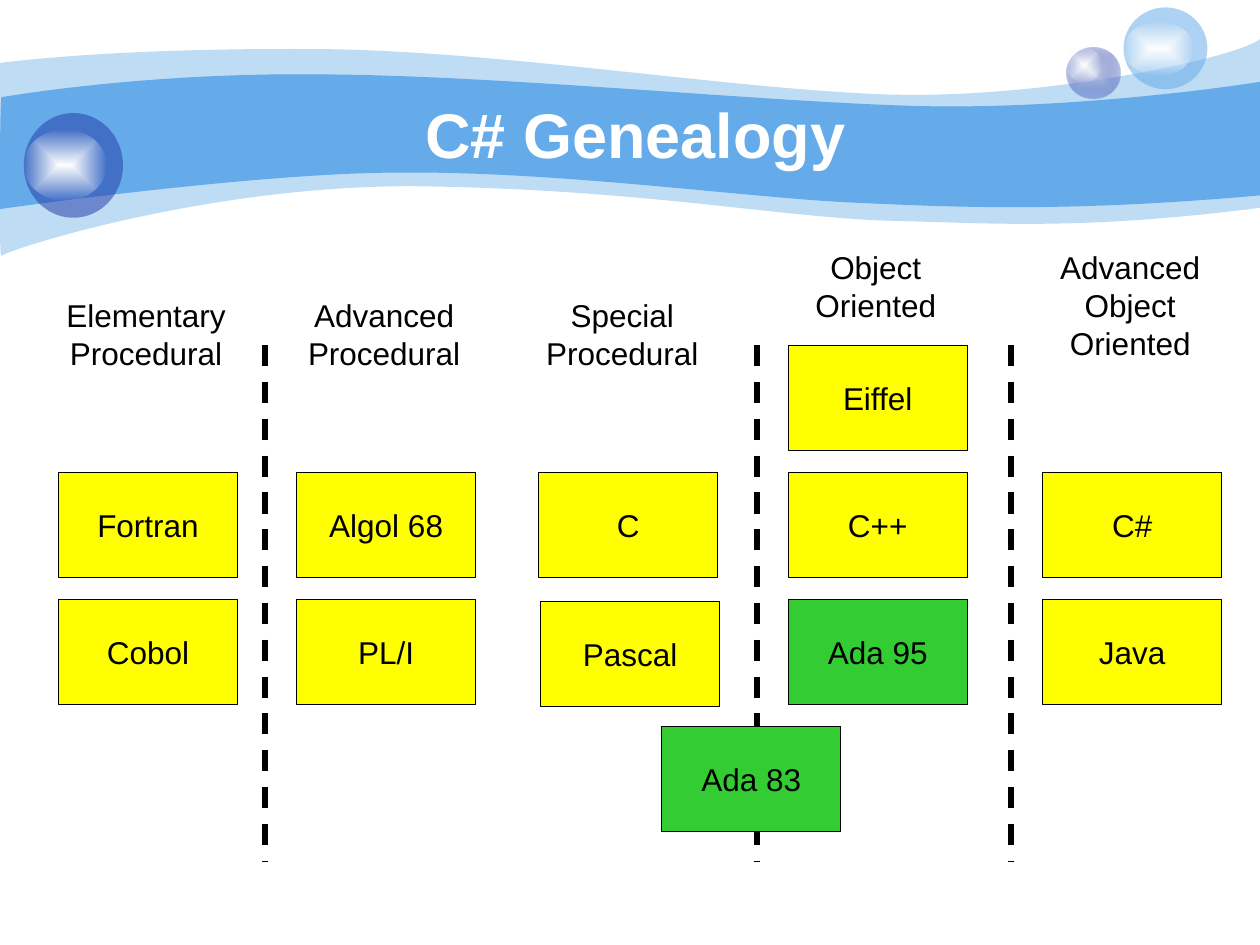
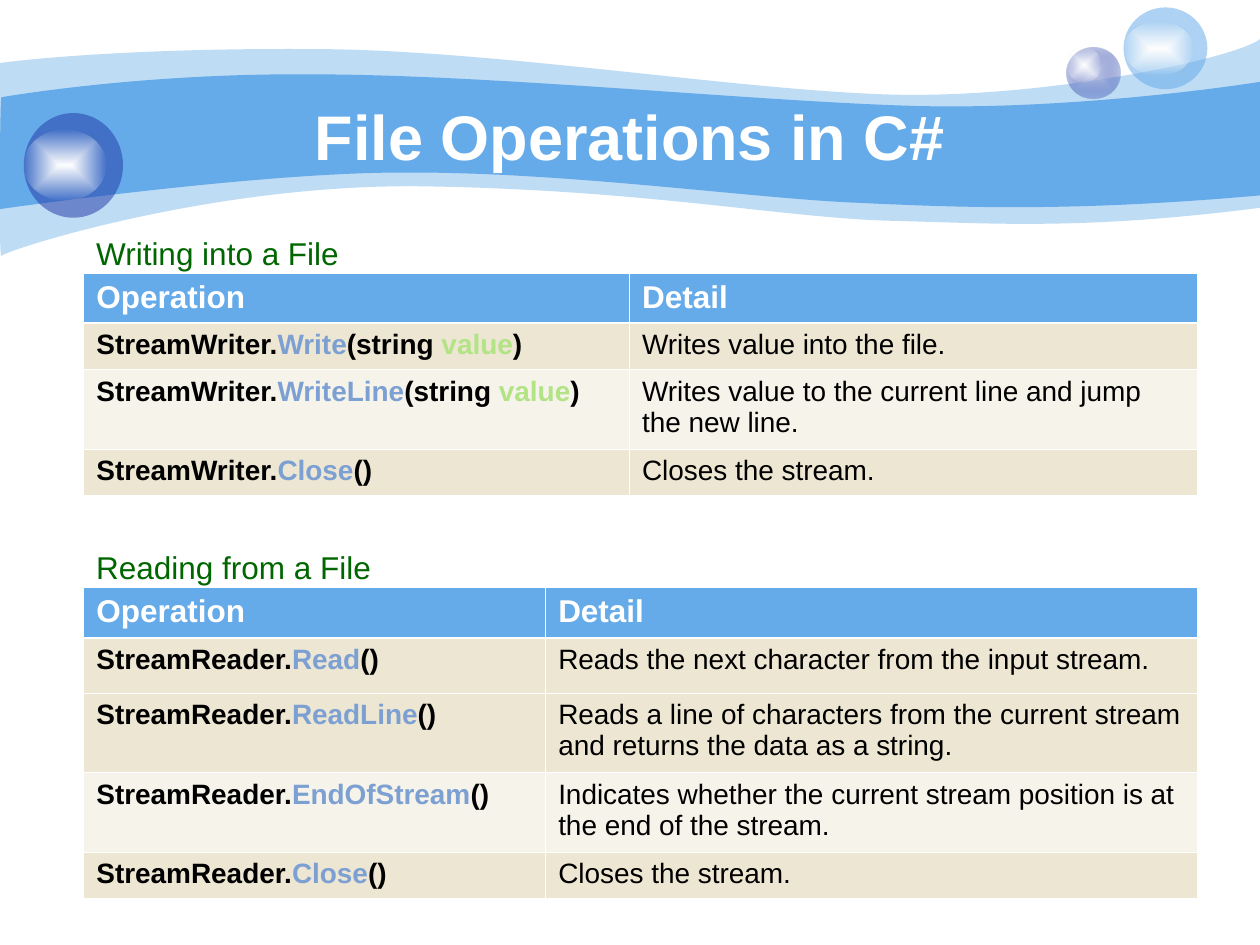
"""Build two C# lecture slides: the language genealogy and the file operations."""
from dataclasses import dataclass

from pptx import Presentation
from pptx.dml.color import RGBColor
from pptx.enum.dml import MSO_LINE
from pptx.enum.shapes import MSO_CONNECTOR, MSO_SHAPE
from pptx.enum.text import MSO_ANCHOR, MSO_AUTO_SIZE, PP_ALIGN
from pptx.oxml import parse_xml
from pptx.oxml.ns import nsdecls, qn
from pptx.oxml.xmlchemy import OxmlElement
from pptx.util import Cm, Pt

LEFT, CENTER = PP_ALIGN.LEFT, PP_ALIGN.CENTER
TOP, MIDDLE = MSO_ANCHOR.TOP, MSO_ANCHOR.MIDDLE
GROW = MSO_AUTO_SIZE.SHAPE_TO_FIT_TEXT
RECTANGLE, OVAL = MSO_SHAPE.RECTANGLE, MSO_SHAPE.OVAL
STRAIGHT, DASH = MSO_CONNECTOR.STRAIGHT, MSO_LINE.DASH


@dataclass(frozen=True)
class Theme:
    font: str = "Arial"
    title_size: int = 36
    text_size: int = 18
    cell_size: int = 16
    white: str = "FFFFFF"
    black: str = "000000"
    sky: str = "65AAE9"
    navy: str = "233DA9"
    mist: str = "C7CEE9"
    yellow: str = "FFFF00"
    green: str = "33CC33"
    caption: str = "006600"
    method: str = "7DA0D3"
    parameter: str = "B2E385"
    sand: str = "EDE6D3"
    cream: str = "F6F3EA"


theme = Theme()


def write_text(frame, text, size=theme.text_size, color=theme.black, bold=False,
               align=LEFT, anchor=TOP, wrap=True):
    """Write a string, or a list of (string, colour) parts, as one paragraph."""
    frame.word_wrap = wrap
    frame.vertical_anchor = anchor
    paragraph = frame.paragraphs[0]
    paragraph.alignment = align
    parts = [(text, color)] if isinstance(text, str) else text
    for part, part_color in parts:
        for number, line in enumerate(part.split("\n")):
            if number:
                paragraph.add_line_break()
            run = paragraph.add_run()
            run.text = line
            run.font.name = theme.font
            run.font.size = Pt(size)
            run.font.bold = bold
            run.font.color.rgb = RGBColor.from_string(part_color)


def paint(shape, *stops):
    """Fill with one (colour, opacity) stop, or shade from the centre through several."""
    shape.shadow.inherit = False
    shape.line.fill.background()
    shape.fill.solid()
    solid = shape.element.spPr.find(qn("a:solidFill"))
    colors = [f'<a:srgbClr val="{color}"><a:alpha val="{opacity * 1000}"/></a:srgbClr>'
              for color, opacity in stops]
    if len(colors) == 1:
        fill = f'<a:solidFill {nsdecls("a")}>{colors[0]}</a:solidFill>'
    else:
        shades = "".join(f'<a:gs pos="{position}">{color}</a:gs>'
                         for position, color in zip((0, 100000), colors))
        fill = (f'<a:gradFill {nsdecls("a")} rotWithShape="1"><a:gsLst>{shades}</a:gsLst>'
                '<a:path path="rect"><a:fillToRect l="50000" t="50000" r="50000" b="50000"/>'
                '</a:path></a:gradFill>')
    shape.element.spPr.replace(solid, parse_xml(fill))


prs = Presentation()
prs.slide_width, prs.slide_height = Cm(25.4), Cm(19.05)
layout = prs.slide_layouts[5]

titles = [
    ("C# Genealogy", 2.55, 1.9, 20.52, 1.58),
    ("File Operations in C#", 1.27, 1.14, 22.86, 3.18),
]
for title, left, top, width, height in titles:
    heading = prs.slides.add_slide(layout).shapes.title
    heading.left, heading.top = Cm(left), Cm(top)
    heading.width, heading.height = Cm(width), Cm(height)
    write_text(heading.text_frame, title, size=theme.title_size, color=theme.white,
               bold=True, align=CENTER, anchor=MIDDLE)
genealogy, operations = (slide.shapes for slide in prs.slides)

waves = [
    (41, (0, 1.27), [
        [(0.61, 1.19), (2.72, 0.97), (6.27, 0.99)],
        [(9.8, 0.99), (14.6, 1.78), (17.75, 1.9)],
        [(20.88, 2.03), (24.89, 1.19), (25.4, 0.79)],
        [(25.4, 4.19)],
        [(21.79, 4.65), (19.99, 4.5), (17.91, 4.45)],
        [(15.8, 4.39), (13.08, 3.84), (8.71, 3.76)],
        [(4.37, 3.66), (0.1, 5.05), (0.03, 5.16)],
        [(-0.03, 5.28), (0, 1.9), (0, 1.27)],
    ]),
    (100, (0.03, 1.96), [
        [(0.05, 1.96), (2.79, 1.47), (6.3, 1.5)],
        [(9.8, 1.5), (15.11, 2.03), (18.24, 2.13)],
        [(21.36, 2.24), (24.79, 1.75), (25.4, 1.65)],
        [(25.4, 3.94)],
        [(21.67, 4.27), (19.43, 4.19), (17.32, 4.09)],
        [(15.21, 4.01), (11.35, 3.45), (8.05, 3.48)],
        [(5.16, 3.48), (-0.05, 4.22), (-0.03, 4.22)],
        [(0, 4.22), (0, 1.96), (0.03, 1.96)],
    ]),
]
backdrop = []
for opacity, (start_x, start_y), segments in waves:
    outline = genealogy.build_freeform(Cm(start_x), Cm(start_y))
    outline.add_line_segments([(Cm(x), Cm(y)) for segment in segments for x, y in segment])
    wave = outline.convert_to_shape()
    vertices = iter(wave.element.xpath(".//a:lnTo"))
    for segment in segments:
        first, *others = [next(vertices) for point in segment]
        if others:
            curve = OxmlElement("a:cubicBezTo")
            first.addprevious(curve)
            for vertex in (first, *others):
                curve.append(vertex[0])
                vertex.getparent().remove(vertex)
    paint(wave, (theme.sky, opacity))
    backdrop.append(wave)

shine = [(theme.white, 100), (theme.white, 0)]
orbs = [
    (21.5, 0.95, 1.09, 1.04, [(theme.mist, 100), (theme.navy, 31)]),
    (21.5, 0.97, 0.71, 0.69, shine),
    (22.65, 0.15, 1.69, 1.65, [(theme.sky, 53)]),
    (22.65, 0.43, 1.41, 1.09, shine),
    (0.48, 2.28, 2, 2.11, [(theme.navy, 53)]),
    (0.48, 2.62, 1.67, 1.42, shine),
]
for left, top, width, height, stops in orbs:
    orb = genealogy.add_shape(OVAL, Cm(left), Cm(top), Cm(width), Cm(height))
    paint(orb, *stops)
    backdrop.append(orb)

for number, part in enumerate(backdrop):
    part.element.xpath("./p:nvSpPr/p:cNvPr")[0].set("id", str(100 + number))
    layout.shapes.element.insert(2 + number, part.element)

for x in (5.34, 15.26, 20.38):
    divider = genealogy.add_connector(STRAIGHT, Cm(x), Cm(6.96), Cm(x), Cm(17.37))
    divider.line.color.rgb = RGBColor.from_string(theme.black)
    divider.line.width = Pt(3)
    divider.line.dash_style = DASH
    divider.element.spPr.append(OxmlElement("a:effectLst"))

eras = [
    ("Elementary\nProcedural", 0.86, 5.84),
    ("Advanced\nProcedural", 5.66, 5.84),
    ("Special\nProcedural", 10.46, 5.84),
    ("Object\nOriented", 15.57, 4.88),
    ("Advanced\nObject\nOriented", 20.7, 4.88),
]
for era, left, top in eras:
    height = 0.26 + 0.76 * len(era.split("\n"))
    label = genealogy.add_textbox(Cm(left), Cm(top), Cm(4.17), Cm(height)).text_frame
    write_text(label, era, align=CENTER)
    label.auto_size = GROW

first_row, row_pitch = 6.96, 2.56
languages = [
    ("Fortran", 1.18, 1, theme.yellow),
    ("Algol 68", 5.98, 1, theme.yellow),
    ("C", 10.86, 1, theme.yellow),
    ("C++", 15.89, 1, theme.yellow),
    ("C#", 21.02, 1, theme.yellow),
    ("Cobol", 1.18, 2, theme.yellow),
    ("Eiffel", 15.89, 0, theme.yellow),
    ("Java", 21.02, 2, theme.yellow),
    ("Ada 95", 15.89, 2, theme.green),
    ("PL/I", 5.98, 2, theme.yellow),
    ("Pascal", 10.9, 2.02, theme.yellow),
    ("Ada 83", 13.34, 3, theme.green),
]
for language, left, row, color in languages:
    box = genealogy.add_shape(RECTANGLE, Cm(left), Cm(first_row + row * row_pitch),
                              Cm(3.61), Cm(2.12))
    box.shadow.inherit = False
    box.fill.solid()
    box.fill.fore_color.rgb = RGBColor.from_string(color)
    box.line.color.rgb = RGBColor.from_string(theme.black)
    box.line.width = Pt(0.75)
    write_text(box.text_frame, language, align=CENTER, anchor=MIDDLE, wrap=False)

sections = [
    ("Writing into a File", "StreamWriter.", 4.6, 5.41, 5.51, (11, 11.44), [
        ("Write", True, "Writes value into the file.", 0.94, theme.sand),
        ("WriteLine", True, "Writes value to the current line and jump the new line.",
         1.6, theme.cream),
        ("Close", False, "Closes the stream.", 0.94, theme.sand),
    ]),
    ("Reading from a File", "StreamReader.", 10.93, 6.05, 11.84, (9.31, 13.13), [
        ("Read", False, "Reads the next character from the input stream.", 1.11, theme.sand),
        ("ReadLine", False, "Reads a line of characters from the current stream "
         "and returns the data as a string.", 1.6, theme.sand),
        ("EndOfStream", False, "Indicates whether the current stream position is at "
         "the end of the stream.", 1.6, theme.cream),
        ("Close", False, "Closes the stream.", 0.93, theme.sand),
    ]),
]
for caption, owner, caption_top, caption_width, top, widths, members in sections:
    rows = [("Operation", "Detail", 1, theme.sky)]
    for method, takes_value, detail, height, color in members:
        arguments = [("()", theme.black)]
        if takes_value:
            arguments = [("(string", theme.black), (" value", theme.parameter),
                         (")", theme.black)]
        call = [(owner, theme.black), (method, theme.method), *arguments]
        rows.append((call, detail, height, color))
    grid = operations.add_table(len(rows), 2, Cm(1.69), Cm(top), Cm(sum(widths)),
                                Cm(sum(row[2] for row in rows)))
    table = grid.table
    table.horz_banding = False
    for column, width in zip(table.columns, widths):
        column.width = Cm(width)
    for r, (operation, detail, height, color) in enumerate(rows):
        table.rows[r].height = Cm(height)
        for c, text in enumerate((operation, detail)):
            cell = table.cell(r, c)
            cell.fill.solid()
            cell.fill.fore_color.rgb = RGBColor.from_string(color)
            write_text(cell.text_frame, text, bold=r == 0 or c == 0,
                       size=theme.cell_size if r else theme.text_size,
                       color=theme.black if r else theme.white)
    for index, properties in enumerate(grid.element.iter(qn("a:tcPr"))):
        for position, side in enumerate("LRTB"):
            under_header = (index // 2, side) in ((0, "B"), (1, "T"))
            properties.insert(position, parse_xml(
                f'<a:ln{side} {nsdecls("a")} w="{Pt(1.47 if under_header else 0.45)}">'
                f'<a:solidFill><a:srgbClr val="{theme.white}"/></a:solidFill></a:ln{side}>'))
    label = operations.add_textbox(Cm(1.69), Cm(caption_top), Cm(caption_width), Cm(1.02))
    write_text(label.text_frame, caption, color=theme.caption, wrap=False)
    label.text_frame.auto_size = GROW

prs.save("out.pptx")
